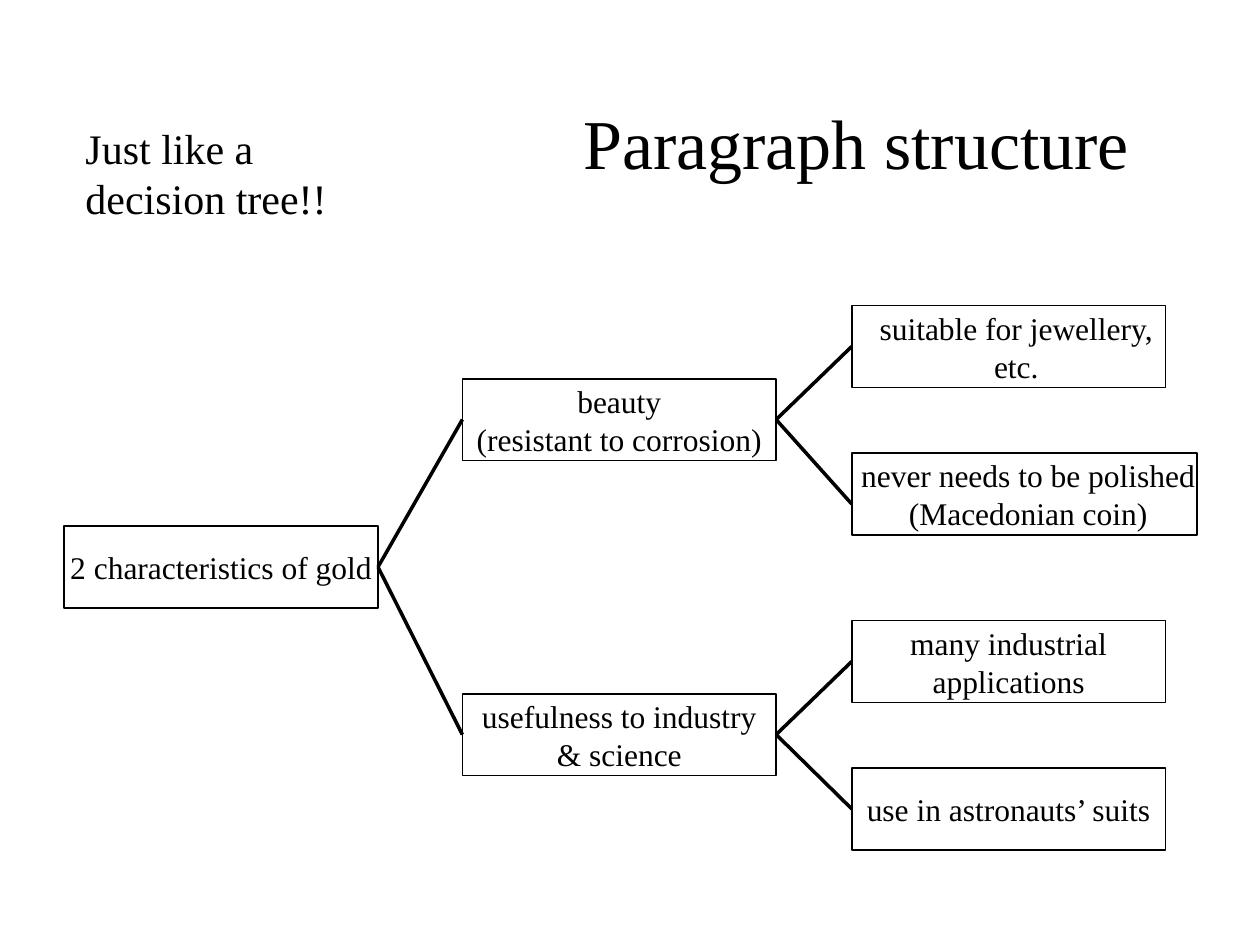
from lxml.etree import SubElement
from pptx import Presentation
from pptx.dml.color import RGBColor
from pptx.enum.shapes import MSO_CONNECTOR, MSO_SHAPE
from pptx.enum.text import MSO_ANCHOR, PP_ALIGN
from pptx.oxml.ns import qn
from pptx.util import Inches, Pt

BLACK = RGBColor(0, 0, 0)
FONT = "Times New Roman"
WIDTH, HEIGHT = 2.49, 0.65
LEFTS = (0.51, 3.67, 6.76)

HEADS = [
    ("Paragraph structure", (3.67, 0.5, 6.25, 1.25), 40, PP_ALIGN.CENTER, MSO_ANCHOR.MIDDLE),
    ("Just like a decision tree!!", (0.58, 0.92, 2.5, 0.9), 24, PP_ALIGN.LEFT, MSO_ANCHOR.TOP),
]

# name: (text, parent, level, middle, width, text shift, line drop)
NODES = {
    "gold": ("2 characteristics of gold", None, 0, 4.5, WIDTH, 0, 0),
    "beauty": ("beauty\n(resistant to corrosion)", "gold", 1, 3.33, WIDTH, 0, 0),
    "use": ("usefulness to industry\n& science", "gold", 1, 5.83, WIDTH, 0, 0),
    "jewel": ("suitable for jewellery,\netc.", "beauty", 2, 2.75, WIDTH, 0.06, 0),
    "coin": ("never needs to be polished\n(Macedonian coin)", "beauty", 2, 3.92, 2.74, 0.03, 0.08),
    "trade": ("many industrial\napplications", "use", 2, 5.25, WIDTH, 0, 0),
    "suits": ("use in astronauts’ suits", "use", 2, 6.42, WIDTH, 0, 0),
}


def write(frame, text, size, align, anchor):
    frame.text = text
    frame.vertical_anchor = anchor
    for para in frame.paragraphs:
        para.alignment = align
        for run in para.runs:
            run.font.name = FONT
            run.font.size = Pt(size)
            run.font.color.rgb = BLACK


def add_node(slide, text, level, middle, width, shift):
    box = slide.shapes.add_shape(
        MSO_SHAPE.RECTANGLE, Inches(LEFTS[level]), Inches(middle - HEIGHT / 2),
        Inches(width), Inches(HEIGHT))
    box.shadow.inherit = False
    box.fill.background()
    box.line.color.rgb = BLACK
    box.line.width = Pt(1)
    frame = box.text_frame
    frame.word_wrap = False
    frame.margin_left = Inches(0.1 + 2 * shift)
    write(frame, text, 18, PP_ALIGN.CENTER, MSO_ANCHOR.MIDDLE)


def add_link(slide, start, end):
    ends = [Inches(value) for value in (*start, *end)]
    link = slide.shapes.add_connector(MSO_CONNECTOR.STRAIGHT, *ends)
    link.line.color.rgb = BLACK
    link.line.width = Pt(2)
    SubElement(link._element.spPr, qn("a:effectLst"))


def main():
    deck = Presentation()
    deck.slide_width, deck.slide_height = Inches(10), Inches(7.5)
    slide = deck.slides.add_slide(deck.slide_layouts[6])

    for text, place, size, align, anchor in HEADS:
        box = slide.shapes.add_textbox(*[Inches(value) for value in place])
        box.text_frame.word_wrap = True
        write(box.text_frame, text, size, align, anchor)

    for text, _, level, middle, width, shift, _ in NODES.values():
        add_node(slide, text, level, middle, width, shift)

    for _, parent, level, middle, _, _, drop in NODES.values():
        if parent:
            _, _, stage, centre, width, _, _ = NODES[parent]
            add_link(slide, (LEFTS[stage] + width, centre), (LEFTS[level], middle + drop))

    deck.save("out.pptx")


if __name__ == "__main__":
    main()
